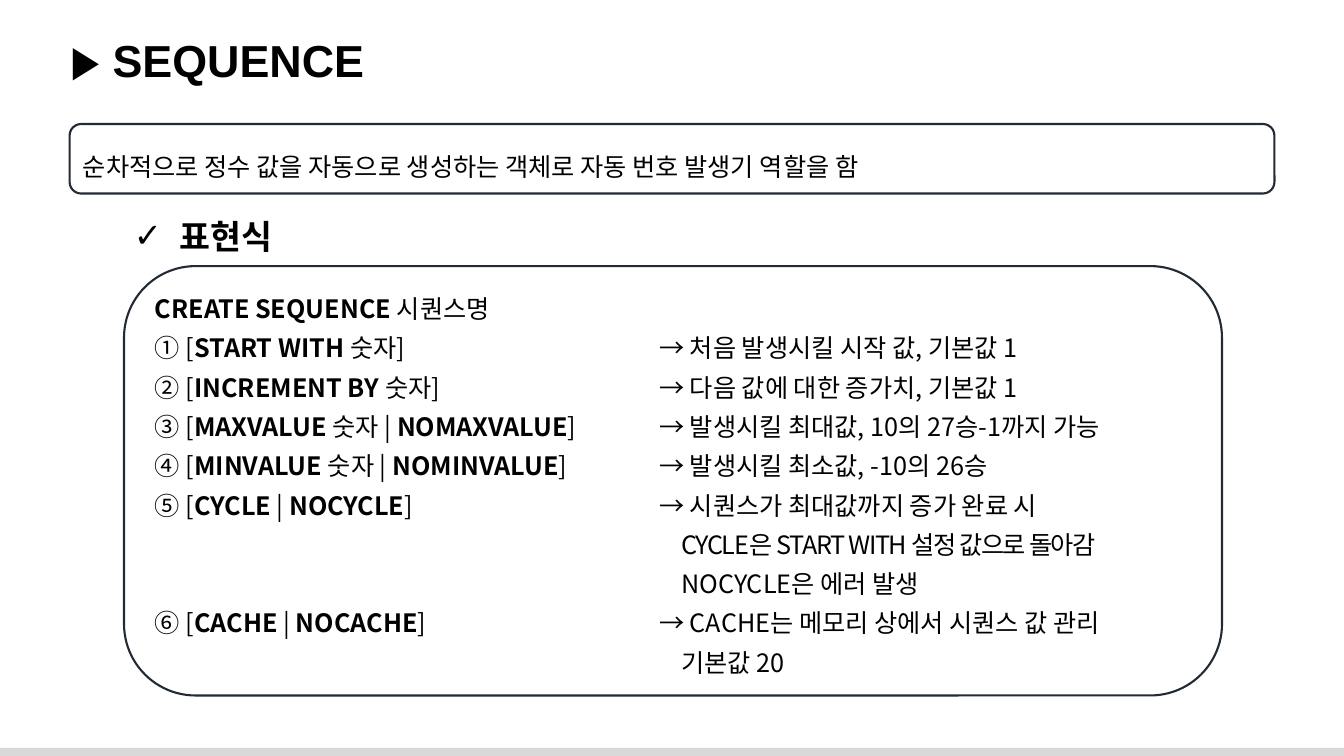
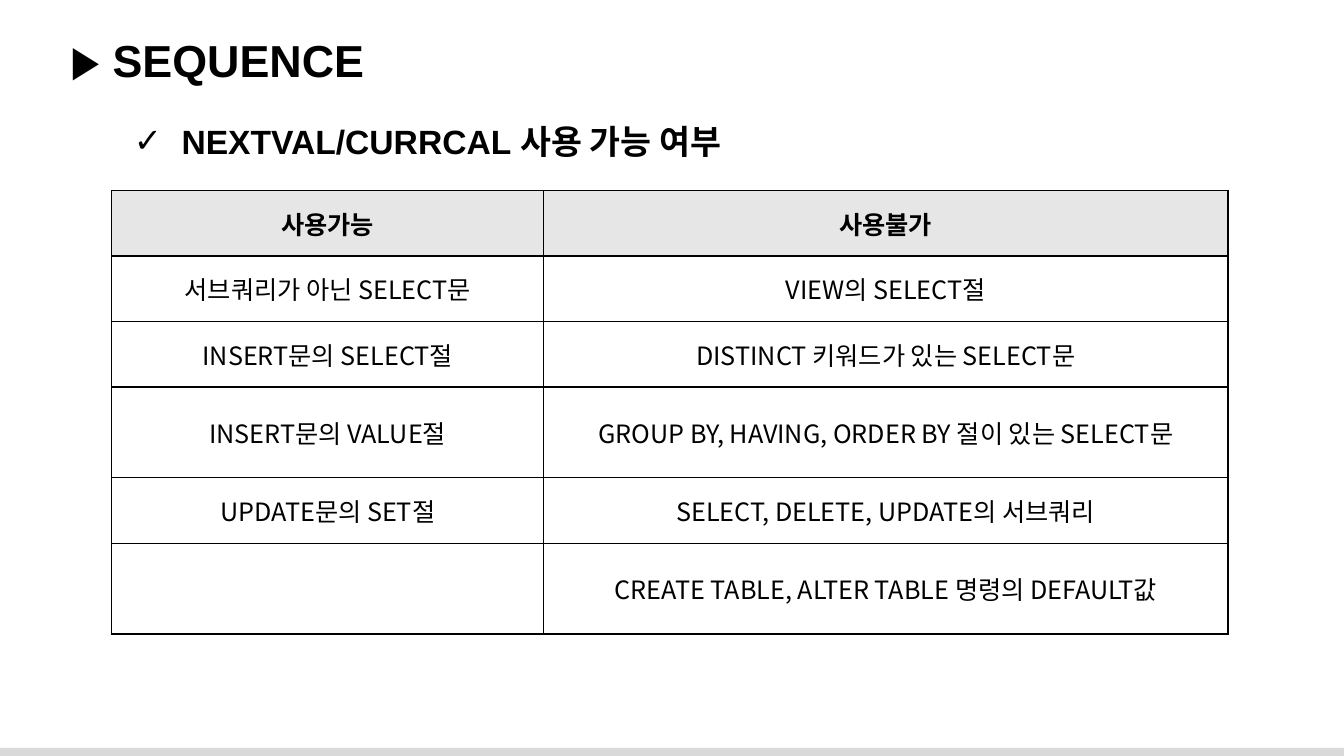
import pptx
import pptx.dml.color
import pptx.enum.shapes
import pptx.enum.text
import pptx.oxml
import pptx.oxml.ns
import pptx.util

Inches = pptx.util.Inches
Pt = pptx.util.Pt
RGBColor = pptx.dml.color.RGBColor
MSO_SHAPE = pptx.enum.shapes.MSO_SHAPE
MSO_ANCHOR = pptx.enum.text.MSO_ANCHOR
MSO_AUTO_SIZE = pptx.enum.text.MSO_AUTO_SIZE
PP_ALIGN = pptx.enum.text.PP_ALIGN

# Shared look
BLACK = RGBColor(0x00, 0x00, 0x00)
OUTLINE = RGBColor(0x22, 0x2A, 0x35)
HEADER_FILL = RGBColor(0xE7, 0xE6, 0xE6)
FOOTER_FILL = RGBColor(0xD9, 0xD9, 0xD9)
LATIN_FONT = "Arial"
KOREAN_FONT = "Noto Sans CJK KR"
TITLE_SIZE, HEADING_SIZE, BODY_SIZE = 32, 24, 18

# Tab stops in the syntax box, in inches
ARROW_TAB = 5.0
CONTINUED_TAB = 5.22

# Slide content: text between asterisks is bold
DEFINITION = "순차적으로 정수 값을 자동으로 생성하는 객체로 자동 번호 발생기 역할을 함"
# Each line: syntax, explanation, tab stop, letter spacing in points
SYNTAX_LINES = [
    ("*CREATE SEQUENCE *시퀀스명", "", ARROW_TAB, 0),
    ("① [*START WITH *숫자]", "→ 처음 발생시킬 시작 값, 기본값 1", ARROW_TAB, 0),
    ("② [*INCREMENT BY *숫자]", "→ 다음 값에 대한 증가치, 기본값 1", ARROW_TAB, 0),
    ("③ [*MAXVALUE *숫자 | *NOMAXVALUE*]",
     "→ 발생시킬 최대값, 10의 27승-1까지 가능", ARROW_TAB, 0),
    ("④ [*MINVALUE *숫자 | *NOMINVALUE*]",
     "→ 발생시킬 최소값, -10의 26승", ARROW_TAB, 0),
    ("⑤ [*CYCLE* | *NOCYCLE*]", "→ 시퀀스가 최대값까지 증가 완료 시", ARROW_TAB, 0),
    ("", "CYCLE은 START WITH 설정 값으로 돌아감", CONTINUED_TAB, -1),
    ("", "NOCYCLE은 에러 발생", CONTINUED_TAB, 0),
    ("⑥ [*CACHE* | *NOCACHE*]", "→ CACHE는 메모리 상에서 시퀀스 값 관리", ARROW_TAB, 0),
    ("", "기본값 20", CONTINUED_TAB, 0),
]
USAGE_ROWS = [
    ("사용가능", "사용불가"),
    ("서브쿼리가 아닌 SELECT문", "VIEW의 SELECT절"),
    ("INSERT문의 SELECT절", "DISTINCT 키워드가 있는 SELECT문"),
    ("INSERT문의 VALUE절", "GROUP BY, HAVING, ORDER BY 절이 있는 SELECT문"),
    ("UPDATE문의 SET절", "SELECT, DELETE, UPDATE의 서브쿼리"),
    ("", "CREATE TABLE, ALTER TABLE 명령의 DEFAULT값"),
]
USAGE_COLUMN_WIDTHS = [4.28, 6.79]
USAGE_ROW_HEIGHTS = [0.65, 0.65, 0.65, 0.9, 0.65, 0.9]


def append_xml(parent, markup):
    """Append a DrawingML element, given without its namespace declaration."""
    declaration = " " + pptx.oxml.ns.nsdecls("a")
    end = min(markup.index(mark) for mark in " />" if mark in markup)
    parent.append(pptx.oxml.parse_xml(markup[:end] + declaration + markup[end:]))


def add_run(paragraph, text, size, font=LATIN_FONT, bold=False, spacing=0):
    run = paragraph.add_run()
    run.text = text
    run.font.name = font
    run.font.size = Pt(size)
    run.font.bold = bold
    run.font.color.rgb = BLACK
    properties = run.font._element
    append_xml(properties, f'<a:ea typeface="{KOREAN_FONT}"/>')
    if spacing:
        properties.set("spc", str(spacing * 100))


def add_text_box(slide, left, top, width, height, wrap):
    box = slide.shapes.add_textbox(Inches(left), Inches(top), Inches(width), Inches(height))
    box.text_frame.word_wrap = wrap
    box.text_frame.auto_size = MSO_AUTO_SIZE.SHAPE_TO_FIT_TEXT
    return box.text_frame.paragraphs[0]


def add_base(presentation, title):
    """Add a blank slide with the footer band and the title."""
    slide = presentation.slides.add_slide(presentation.slide_layouts[6])
    band = slide.shapes.add_shape(
        MSO_SHAPE.RECTANGLE, Inches(-0.03), Inches(7.42), Inches(13.39), Inches(0.11))
    band.shadow.inherit = False
    band.fill.solid()
    band.fill.fore_color.rgb = FOOTER_FILL
    band.line.fill.background()
    paragraph = add_text_box(slide, 0.6, 0.28, 12.6, 0.64, True)
    add_run(paragraph, "▶ " + title, TITLE_SIZE, bold=True)
    return slide


def add_check_heading(slide, text, top, width):
    paragraph = add_text_box(slide, 1.23, top, width, 0.5, False)
    properties = paragraph._p.get_or_add_pPr()
    indent = Inches(0.38)
    properties.set("marL", str(indent))
    properties.set("indent", str(-indent))
    append_xml(properties, f'<a:buFont typeface="{LATIN_FONT}"/>')
    append_xml(properties, '<a:buChar char="✓"/>')
    add_run(paragraph, " " + text, HEADING_SIZE, bold=True)


def add_rounded_box(slide, left, top, width, height):
    box = slide.shapes.add_shape(
        MSO_SHAPE.ROUNDED_RECTANGLE,
        Inches(left), Inches(top), Inches(width), Inches(height))
    box.shadow.inherit = False
    box.fill.background()
    box.line.color.rgb = OUTLINE
    box.line.width = Pt(1.5)
    box.text_frame.word_wrap = True
    box.text_frame.vertical_anchor = MSO_ANCHOR.MIDDLE
    return box.text_frame


def add_syntax_line(paragraph, syntax, explanation, tab_stop, spacing):
    paragraph.alignment = PP_ALIGN.LEFT
    paragraph.line_spacing = 1.3
    append_xml(paragraph._p.get_or_add_pPr(),
               f'<a:tabLst><a:tab pos="{Inches(tab_stop)}" algn="l"/></a:tabLst>')
    for index, part in enumerate(syntax.split("*")):
        if part:
            add_run(paragraph, part, BODY_SIZE, KOREAN_FONT, bold=index % 2 == 1)
    if explanation:
        add_run(paragraph, "\t" + explanation, BODY_SIZE, KOREAN_FONT, spacing=spacing)


def style_cell(cell, text, is_header):
    properties = cell._tc.get_or_add_tcPr()
    for side in ("lnL", "lnR", "lnT", "lnB"):
        append_xml(properties,
                   f'<a:{side} w="{Pt(1)}"><a:solidFill><a:srgbClr val="{BLACK}"/>'
                   f'</a:solidFill></a:{side}>')
    if is_header:
        cell.fill.solid()
        cell.fill.fore_color.rgb = HEADER_FILL
    else:
        cell.fill.background()
    cell.vertical_anchor = MSO_ANCHOR.MIDDLE
    paragraph = cell.text_frame.paragraphs[0]
    paragraph.alignment = PP_ALIGN.CENTER
    if text:
        add_run(paragraph, text, BODY_SIZE, KOREAN_FONT, bold=is_header)


def add_grid_table(slide, left, top, rows, column_widths, row_heights):
    table = slide.shapes.add_table(
        len(rows), len(column_widths), Inches(left), Inches(top),
        Inches(sum(column_widths)), Inches(sum(row_heights))).table
    table.first_row = False
    table.horz_banding = False
    for column, width in zip(table.columns, column_widths):
        column.width = Inches(width)
    for row, height in zip(table.rows, row_heights):
        row.height = Inches(height)
    for row_index, texts in enumerate(rows):
        for column_index, text in enumerate(texts):
            style_cell(table.cell(row_index, column_index), text, row_index == 0)


def build_syntax_slide(presentation):
    slide = add_base(presentation, "SEQUENCE")
    # Definition
    paragraph = add_rounded_box(slide, 0.69, 1.23, 11.95, 0.69).paragraphs[0]
    paragraph.alignment = PP_ALIGN.LEFT
    paragraph.line_spacing = 1.5
    add_run(paragraph, DEFINITION, BODY_SIZE)
    # Syntax
    add_check_heading(slide, "표현식", 2.09, 1.71)
    frame = add_rounded_box(slide, 1.23, 2.64, 10.89, 4.26)
    for index, line in enumerate(SYNTAX_LINES):
        paragraph = frame.add_paragraph() if index else frame.paragraphs[0]
        add_syntax_line(paragraph, *line)


def build_usage_slide(presentation):
    slide = add_base(presentation, "SEQUENCE")
    add_check_heading(slide, "NEXTVAL/CURRCAL 사용 가능 여부", 1.15, 6.25)
    add_grid_table(slide, 1.11, 1.89, USAGE_ROWS, USAGE_COLUMN_WIDTHS, USAGE_ROW_HEIGHTS)


def main():
    presentation = pptx.Presentation()
    presentation.slide_width = Inches(13.33)
    presentation.slide_height = Inches(7.5)
    build_syntax_slide(presentation)
    build_usage_slide(presentation)
    presentation.save("out.pptx")


if __name__ == "__main__":
    main()
